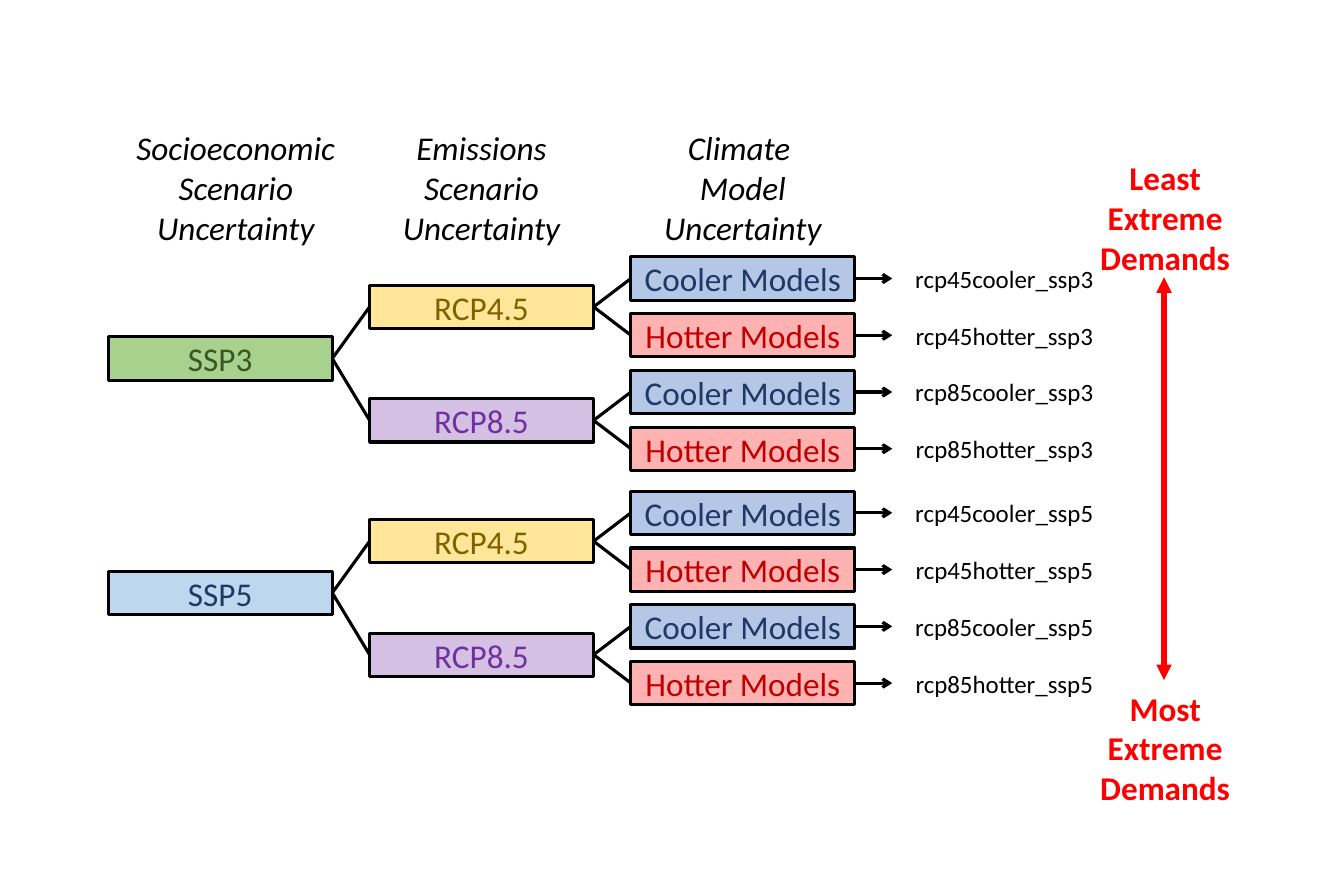
from dataclasses import dataclass
from typing import Optional

from lxml.etree import SubElement
from pptx import Presentation
from pptx.dml.color import RGBColor as Color
from pptx.enum.shapes import MSO_CONNECTOR as Connector, MSO_SHAPE as Shape
from pptx.enum.text import MSO_ANCHOR as Anchor, MSO_AUTO_SIZE as AutoSize, PP_ALIGN as Align
from pptx.oxml.ns import qn
from pptx.util import Inches, Pt

COLORS = {
    "black": "000000", "red": "FF0000", "dark red": "C00000",
    "pale blue": "B4C7E7", "navy": "203864", "purple": "7030A0",
    "yellow": "FFE699", "brown": "806000", "green": "A9D18E",
    "dark green": "385723", "sky": "BDD7EE",
}
LEFT, TOP = 1.45, 3.44
COLUMN, ROW = 3.5, 0.76
BOX_WIDTH, BOX_HEIGHT = 3, 0.58
CAPTION_HEIGHT = 1.72
TOP_SIDE, LEFT_SIDE, BOTTOM_SIDE, RIGHT_SIDE = range(4)


@dataclass(frozen=True)
class Kind:
    text: str
    fill: str
    ink: str
    alpha: Optional[int] = None
    code: str = ""


@dataclass(frozen=True)
class Caption:
    lines: tuple[str, ...]
    column: float
    row: float
    width: float = BOX_WIDTH
    ink: str = "black"
    bold: bool = False
    italic: bool = False


@dataclass(frozen=True)
class Tree:
    root: Kind
    first_row: float


TREES = (
    Tree(Kind("SSP3", "green", "dark green", code="ssp3"), 0),
    Tree(Kind("SSP5", "sky", "navy", code="ssp5"), 4.13),
)
EMISSIONS = (
    Kind("RCP4.5", "yellow", "brown", code="rcp45"),
    Kind("RCP8.5", "purple", "purple", 30, "rcp85"),
)
MODELS = (
    Kind("Cooler Models", "pale blue", "navy", code="cooler"),
    Kind("Hotter Models", "red", "dark red", 30, "hotter"),
)
CAPTIONS = (
    Caption(("Socioeconomic Scenario Uncertainty",), 0.06, -2.34, italic=True),
    Caption(("Emissions Scenario Uncertainty",), 1, -2.34, italic=True),
    Caption(("Climate ", "Model Uncertainty"), 2, -2.34, italic=True),
    Caption(("Least Extreme", "Demands"), 3.75, -1.82, 2.06, "red", bold=True),
    Caption(("Most Extreme", "Demands"), 3.75, 7.53, 2.06, "red", bold=True),
)
ROOT_ROW = 1.41
SCALE_COLUMN, SCALE_ROWS = 4.04, (0.36, 7.46)


def across(column: float):
    return Inches(LEFT + column * COLUMN)


def down(row: float):
    return Inches(TOP + row * ROW)


def color(name: str):
    return Color.from_string(COLORS[name])


def write(shape, lines: tuple[str, ...], size: int, ink: str, bold=False, italic=False) -> None:
    frame = shape.text_frame
    frame.word_wrap = True
    for index, line in enumerate(lines):
        para = frame.add_paragraph() if index else frame.paragraphs[0]
        para.alignment = Align.CENTER
        span = para.add_run()
        span.text = line
        span.font.name = "Calibri"
        span.font.size = Pt(size)
        span.font.bold = bold
        span.font.italic = italic
        span.font.color.rgb = color(ink)


def add_box(page, kind: Kind, column: float, row: float):
    box = page.shapes.add_shape(Shape.RECTANGLE, across(column), down(row),
                                Inches(BOX_WIDTH), Inches(BOX_HEIGHT))
    box.shadow.inherit = False
    box.fill.solid()
    box.fill.fore_color.rgb = color(kind.fill)
    if kind.alpha is not None:
        tint = box._element.spPr.find(qn("a:solidFill")).find(qn("a:srgbClr"))
        SubElement(tint, qn("a:alpha")).set("val", str(kind.alpha * 1000))
    box.line.color.rgb = color("black")
    box.line.width = Pt(3)
    box.text_frame.vertical_anchor = Anchor.MIDDLE
    write(box, (kind.text,), 32, kind.ink)
    return box


def add_label(page, text: str, column: float, row: float):
    label = page.shapes.add_textbox(across(column), down(row),
                                    Inches(BOX_WIDTH), Inches(BOX_HEIGHT))
    label.text_frame.vertical_anchor = Anchor.MIDDLE
    write(label, (text,), 24, "black")
    return label


def add_caption(page, caption: Caption) -> None:
    box = page.shapes.add_textbox(across(caption.column), down(caption.row),
                                  Inches(caption.width), Inches(CAPTION_HEIGHT))
    write(box, caption.lines, 32, caption.ink, caption.bold, caption.italic)
    box.text_frame.auto_size = AutoSize.SHAPE_TO_FIT_TEXT


def style_line(line, ink: str, width: float, head: str = "", tail: str = "") -> None:
    line.line.color.rgb = color(ink)
    line.line.width = Pt(width)
    properties = line._element.spPr
    outline = properties.find(qn("a:ln"))
    for tag, arrow in (("a:headEnd", head), ("a:tailEnd", tail)):
        if arrow:
            SubElement(outline, qn(tag)).set("type", arrow)
    SubElement(properties, qn("a:effectLst"))


def join(page, parent, child, tail: str = "") -> None:
    line = page.shapes.add_connector(Connector.STRAIGHT, 0, 0, 0, 0)
    line.begin_connect(parent, RIGHT_SIDE)
    line.end_connect(child, LEFT_SIDE)
    style_line(line, "black", 3, tail=tail)


def add_tree(page, tree: Tree) -> None:
    root = add_box(page, tree.root, 0, tree.first_row + ROOT_ROW)
    for branch, emission in enumerate(EMISSIONS):
        row = tree.first_row + branch * len(MODELS)
        emission_box = add_box(page, emission, 1, row + 0.5)
        join(page, root, emission_box)
        for leaf, model in enumerate(MODELS):
            model_box = add_box(page, model, 2, row + leaf)
            join(page, emission_box, model_box)
            name = f"{emission.code}{model.code}_{tree.root.code}"
            label = add_label(page, name, 3, row + leaf)
            join(page, model_box, label, tail="arrow")


def add_scale(page) -> None:
    start, end = SCALE_ROWS
    scale = page.shapes.add_connector(Connector.STRAIGHT, across(SCALE_COLUMN), down(start),
                                      across(SCALE_COLUMN), down(end))
    style_line(scale, "red", 5, "triangle", "triangle")


def main() -> None:
    deck = Presentation()
    deck.slide_width, deck.slide_height = Inches(18), Inches(12)
    page = deck.slides.add_slide(deck.slide_layouts[6])
    for tree in TREES:
        add_tree(page, tree)
    add_scale(page)
    for caption in CAPTIONS:
        add_caption(page, caption)
    deck.save("out.pptx")


if __name__ == "__main__":
    main()
